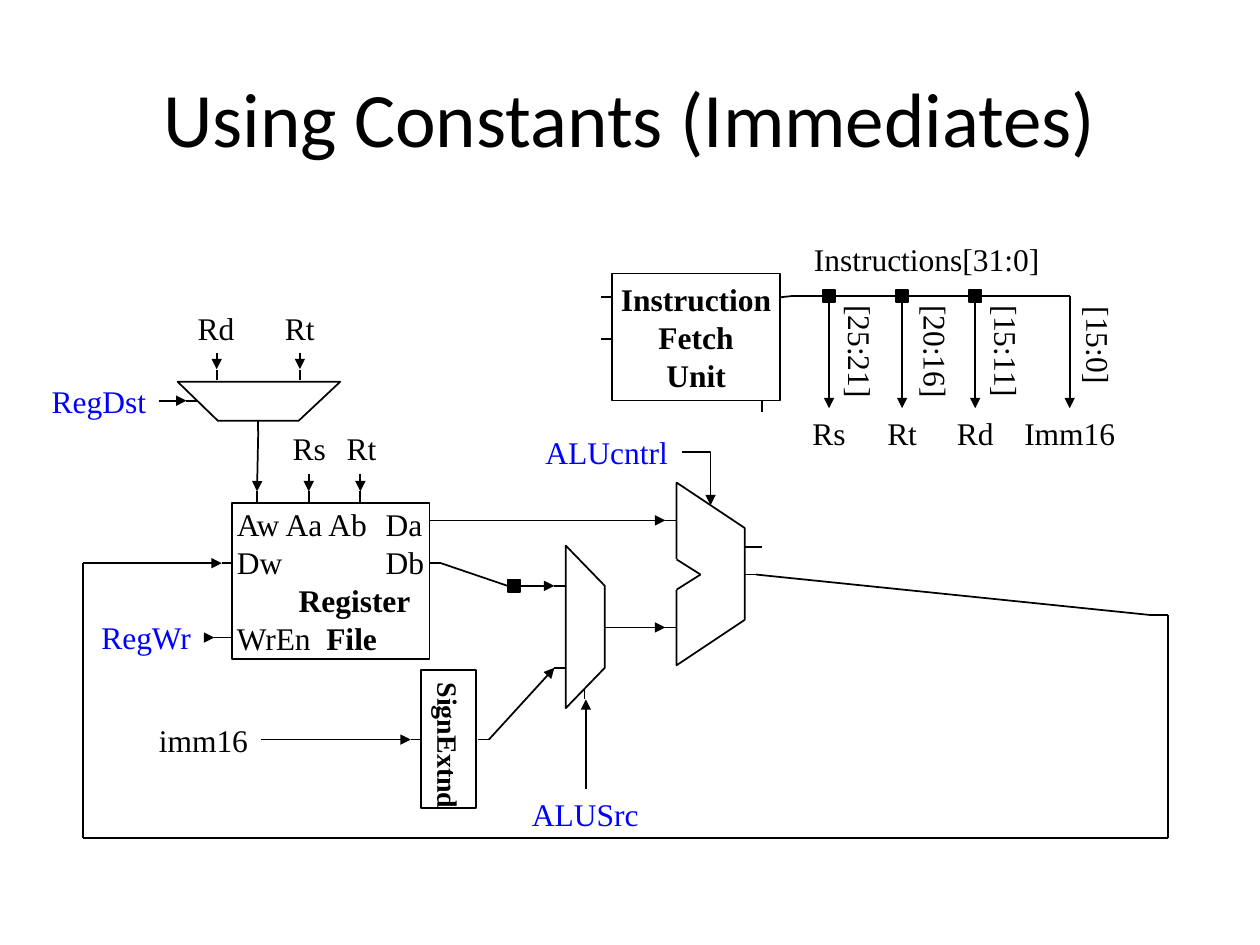
import itertools

import pptx
import pptx.dml.color
import pptx.enum.shapes
import pptx.enum.text
import pptx.oxml.ns
import pptx.util
from lxml import etree

Inches, Pt = pptx.util.Inches, pptx.util.Pt
qn = pptx.oxml.ns.qn
RECT = pptx.enum.shapes.MSO_SHAPE.RECTANGLE
CONNECTOR = pptx.enum.shapes.MSO_CONNECTOR
ALIGN, ANCHOR = pptx.enum.text.PP_ALIGN, pptx.enum.text.MSO_ANCHOR
COLORS = {"black": "000000", "white": "FFFFFF", "control": "0000FF"}
SERIF = "Times New Roman"

# Content: labels as text, left, top, width
TITLE = "Using Constants (Immediates)"
LABELS = [
    ("Rs", 2.22, 3.36, 0.47), ("Rt", 2.65, 3.36, 0.44),
    ("Rd", 1.47, 2.4, 0.49), ("Rt", 2.16, 2.4, 0.44),
    ("imm16", 1.16, 5.67, 0.91), ("Instructions[31:0]", 6.36, 1.86, 1.99),
]
CONTROLS = [
    ("RegDst", 0.31, 2.98, 0.95), ("RegWr", 0.7, 4.86, 0.92),
    ("ALUSrc", 4.12, 6.26, 1.05), ("ALUcntrl", 4.23, 3.39, 1.17),
]
# Instruction fields: name, bits, wire x, name width, bits centre x, bits centre y, bits width
FIELDS = [
    ("Rs", "[25:21]", 6.58, 0.47, 6.83, 2.79, 0.94),
    ("Rt", "[20:16]", 7.16, 0.44, 7.43, 2.79, 0.94),
    ("Rd", "[15:11]", 7.74, 0.49, 7.99, 2.79, 0.94),
    ("Imm16", "[15:0]", 8.49, 0.92, 8.72, 2.74, 0.81),
]
# Register file rows: runs as (text, bold), and the tab stop of the row
REGISTER_ROWS = [
    ([("Aw Aa Ab\tDa", False)], 1.18),
    ([("Dw\tDb", False)], 1.18),
    ([("\tRegister", True)], 0.49),
    ([("WrEn\t", False), ("File", True)], 0.71),
]

# Geometry
BUS_Y, DOT = 2.35, 0.1
OUTLINES = {
    "alu": [(5.37, 5.28), (5.91, 4.92), (5.91, 4.19), (5.37, 3.83)],
    "source mux": [(4.49, 5.62), (4.8, 5.3), (4.8, 4.65), (4.49, 4.33)],
    "destination mux": [(1.41, 3.03), (1.73, 3.34), (2.37, 3.34), (2.7, 3.03)],
}
NOTCH = [(5.37, 4.44), (5.56, 4.56), (5.37, 4.68)]
STUBS = [
    [(4.77, 2.36), (4.86, 2.36)], [(4.77, 2.69), (4.86, 2.69)], [(6.05, 3.27), (6.05, 3.18)],
    [(5.91, 4.34), (6.05, 4.34)], [(5.91, 4.56), (6, 4.56)],
    [(5.28, 4.13), (5.37, 4.13)], [(5.28, 4.98), (5.37, 4.98)],
    [(4.4, 4.65), (4.49, 4.65)], [(4.4, 5.3), (4.49, 5.3)], [(4.64, 5.55), (4.64, 5.46)],
    [(1.72, 2.94), (1.72, 3.02)], [(2.38, 2.94), (2.38, 3.02)], [(1.48, 3.18), (1.57, 3.18)],
    [(2.04, 3.9), (2.04, 3.99)], [(2.45, 3.9), (2.45, 3.99)], [(2.86, 3.9), (2.86, 3.99)],
    [(1.76, 4.47), (1.84, 4.47)], [(1.7, 5.06), (1.84, 5.06)], [(3.26, 5.87), (3.34, 5.87)],
    [(3.41, 4.47), (3.5, 4.47), (4.03, 4.65)],
]
ARROWS = [
    [(1.72, 2.8), (1.72, 2.93)], [(2.38, 2.8), (2.38, 2.93)],
    [(2.45, 3.76), (2.45, 3.9)], [(2.86, 3.76), (2.86, 3.9)],
    [(1.26, 3.18), (1.48, 3.18)], [(1.62, 5.06), (1.7, 5.06)],
    [(2.05, 3.33), (2.05, 3.42), (2.04, 3.9)],
    [(3.41, 4.13), (3.5, 4.13), (5.28, 4.13)], [(4.13, 4.65), (4.4, 4.65)],
    [(4.8, 4.98), (4.89, 4.98), (5.28, 4.98)], [(4.65, 6.26), (4.65, 5.55)],
    [(2.07, 5.87), (3.26, 5.87)], [(3.79, 5.87), (3.88, 5.87), (4.4, 5.3)],
    # Write-back loop
    [(6, 4.56), (9.12, 4.88), (9.27, 4.88), (9.27, 6.65), (9.12, 6.65), (0.81, 6.65),
     (0.66, 6.65), (0.66, 4.47), (0.81, 4.47), (1.76, 4.47)],
]

prs = pptx.Presentation()
prs.slide_width, prs.slide_height = Inches(10), Inches(7.5)
s = prs.slides.add_slide(prs.slide_layouts[6])


def rgb(name):
    return pptx.dml.color.RGBColor.from_string(COLORS[name])


def style(sp, fill="white"):
    sp.shadow.inherit = False
    sp.fill.solid()
    sp.fill.fore_color.rgb = rgb(fill)
    sp.line.color.rgb = rgb("black")
    sp.line.width = Pt(1)
    return sp


def box(x, y, w, h, fill="white"):
    return style(s.shapes.add_shape(RECT, Inches(x), Inches(y), Inches(w), Inches(h)), fill)


def outline(points):
    first, *rest = [(Inches(x), Inches(y)) for x, y in points]
    fb = s.shapes.build_freeform(*first)
    fb.add_line_segments(rest, close=True)
    return style(fb.convert_to_shape())


def add_run(p, text, size=18, font=SERIF, color="black", bold=False):
    r = p.add_run()
    r.text = text
    r.font.size, r.font.name, r.font.bold = Pt(size), font, bold
    r.font.color.rgb = rgb(color)


def write(sp, text, anchor=ANCHOR.MIDDLE, wrap=False, **fmt):
    tf = sp.text_frame
    tf.word_wrap, tf.vertical_anchor = wrap, anchor
    for i, line in enumerate(text.split("\n")):
        p = tf.add_paragraph() if i else tf.paragraphs[0]
        p.alignment = ALIGN.CENTER
        add_run(p, line, **fmt)


def label(text, x, y, w, h=0.4, rotation=0, **fmt):
    sp = s.shapes.add_textbox(Inches(x), Inches(y), Inches(w), Inches(h))
    sp.rotation = rotation
    write(sp, text, **{"anchor": ANCHOR.TOP, **fmt})


def connect(a, b, arrow=False, color="black", width=1, kind=CONNECTOR.STRAIGHT):
    c = s.shapes.add_connector(kind, *(Inches(v) for v in a + b))
    c.line.color.rgb, c.line.width = rgb(color), Pt(width)
    if arrow:
        etree.SubElement(c.line._get_or_add_ln(), qn("a:tailEnd"), type="triangle")
    etree.SubElement(c._element.spPr, qn("a:effectLst"))
    return c


def wire(points, arrow=False):
    for i, (a, b) in enumerate(itertools.pairwise(points), 2):
        connect(a, b, arrow and i == len(points))


def dot(x, y):
    box(x - DOT / 2, y - DOT / 2, DOT, DOT, "black")


label(TITLE, 0.5, 0.3, 9, 1.25, anchor=ANCHOR.MIDDLE, wrap=True, size=44, font="Calibri")

# ALU and multiplexers
for points in OUTLINES.values():
    outline(points)
connect(NOTCH[0], NOTCH[2], color="white", width=2.25)
wire(NOTCH)

# Blocks
write(box(4.86, 2.17, 1.33, 1.01), "Instruction\nFetch\nUnit", bold=True)
sign_extend = box(3.34, 5.32, 0.44, 1.09)
write(sign_extend, "SignExtnd", size=16, bold=True)
sign_extend.text_frame._txBody.bodyPr.set("vert", "eaVert")

tf = box(1.84, 3.99, 1.57, 1.24).text_frame
tf.word_wrap, tf.vertical_anchor = True, ANCHOR.MIDDLE
tf.margin_left, tf.margin_right = Inches(0.04), 0
for i, (runs, tab) in enumerate(REGISTER_ROWS):
    p = tf.add_paragraph() if i else tf.paragraphs[0]
    p.alignment = ALIGN.LEFT
    tabs = etree.SubElement(p._p.get_or_add_pPr(), qn("a:tabLst"))
    etree.SubElement(tabs, qn("a:tab"), pos=str(Inches(tab)), algn="l")
    for text, bold in runs:
        add_run(p, text, bold=bold)

# Instruction bus and its fields
start = (6.28, BUS_Y)
wire([(6.19, 2.36), start])
for name, bits, x, w, bits_x, bits_y, bits_w in FIELDS:
    wire([start, (x, BUS_Y), (x, 3.24)], arrow=True)
    start = (x, BUS_Y)
    if name != "Imm16":
        dot(x, BUS_Y)
    label(name, x - w / 2, 3.24, w)
    label(bits, bits_x - bits_w / 2, bits_y - 0.2, bits_w, rotation=90)

# Wires
for points in STUBS:
    wire(points)
for points in ARROWS:
    wire(points, arrow=True)
dot(4.08, 4.65)
elbow = connect((5.41, 3.59), (5.64, 4.01), arrow=True, kind=CONNECTOR.ELBOW)
elbow._element.spPr.find(qn("a:prstGeom")).set("prst", "bentConnector2")

# Labels
for item in LABELS:
    label(*item)
for item in CONTROLS:
    label(*item, color="control")

prs.save("out.pptx")
